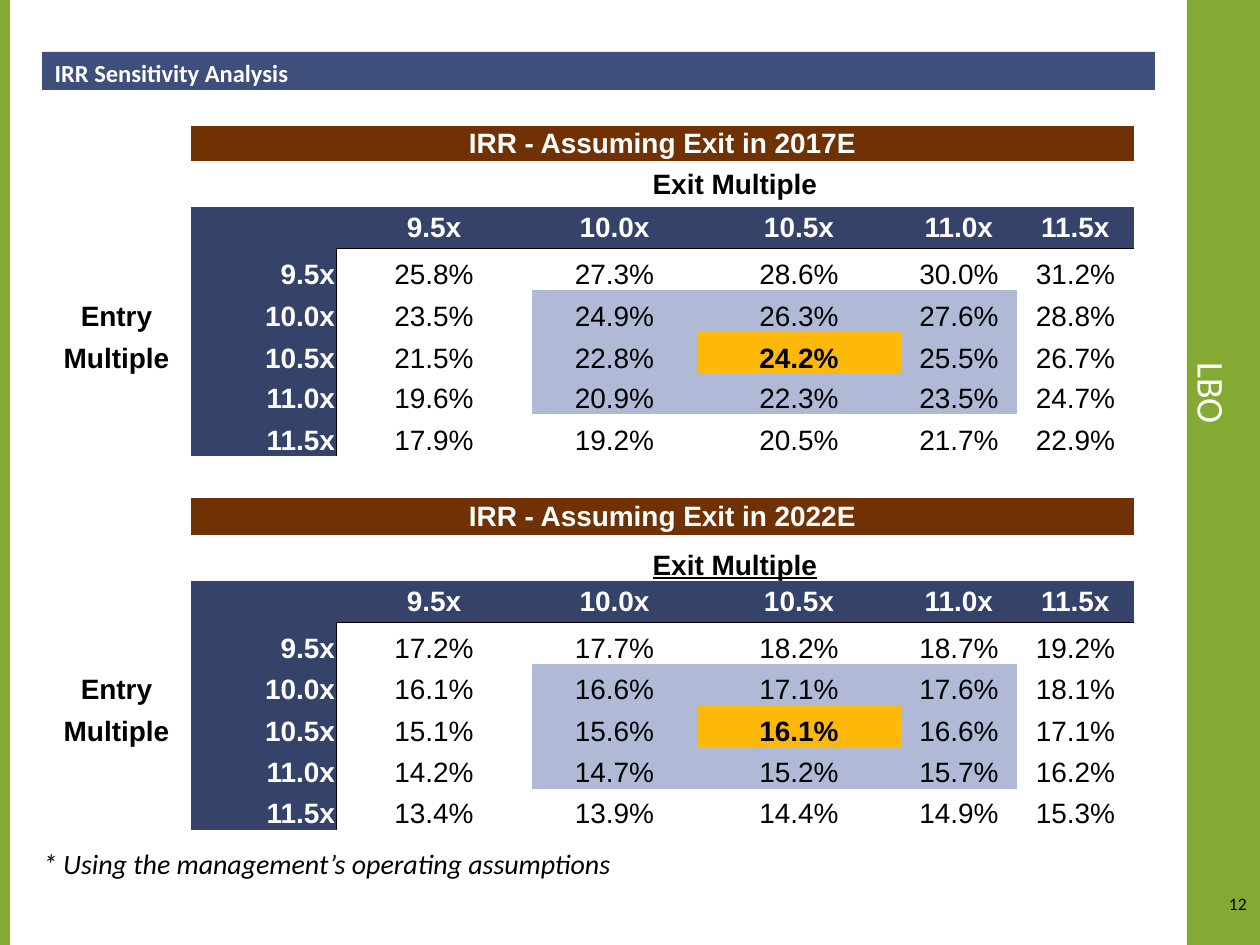
from lxml import etree
from pptx import Presentation
from pptx.dml.color import RGBColor
from pptx.enum.shapes import MSO_SHAPE
from pptx.enum.text import MSO_ANCHOR, MSO_AUTO_SIZE, PP_ALIGN
from pptx.oxml.ns import qn
from pptx.util import Pt

LEFT, CENTER, RIGHT = PP_ALIGN.LEFT, PP_ALIGN.CENTER, PP_ALIGN.RIGHT
TOP, MIDDLE, BOTTOM = MSO_ANCHOR.TOP, MSO_ANCHOR.MIDDLE, MSO_ANCHOR.BOTTOM
RECTANGLE = MSO_SHAPE.RECTANGLE

# Content
TITLE = "LBO"
HEADING = "IRR Sensitivity Analysis"
FOOTNOTE = "* Using the management’s operating assumptions"
PAGE = "12"
MULTIPLES = ["9.5x", "10.0x", "10.5x", "11.0x", "11.5x"]
ENTRY_LABELS = {1: "Entry", 2: "Multiple"}
SCENARIOS = [
    {"year": "2017E", "axis_anchor": MIDDLE, "underline": False, "irr": [
        ["25.8%", "27.3%", "28.6%", "30.0%", "31.2%"],
        ["23.5%", "24.9%", "26.3%", "27.6%", "28.8%"],
        ["21.5%", "22.8%", "24.2%", "25.5%", "26.7%"],
        ["19.6%", "20.9%", "22.3%", "23.5%", "24.7%"],
        ["17.9%", "19.2%", "20.5%", "21.7%", "22.9%"]]},
    {"year": "2022E", "axis_anchor": BOTTOM, "underline": True, "irr": [
        ["17.2%", "17.7%", "18.2%", "18.7%", "19.2%"],
        ["16.1%", "16.6%", "17.1%", "17.6%", "18.1%"],
        ["15.1%", "15.6%", "16.1%", "16.6%", "17.1%"],
        ["14.2%", "14.7%", "15.2%", "15.7%", "16.2%"],
        ["13.4%", "13.9%", "14.4%", "14.9%", "15.3%"]]},
]

THEME = {
    "green": "84AA33", "bar": "3F4F7C", "brown": "703204", "navy": "35436A",
    "pale": "B0BAD7", "gold": "FEB80A", "white": "FFFFFF", "black": "000000",
    "table_font": "Arial", "text_font": "Calibri",
    "title": 21.6, "heading": 14, "table": 16, "page": 10,
}

# Layout in px, 126 to the inch
EMU_PER_PX = 914400 // 126
SLIDE_W, SLIDE_H = 1260, 945
SIDEBAR = (1187, 0, 73, SLIDE_H)
LEFT_EDGE = (0, 0, 10, SLIDE_H)
COLUMNS = [149, 145, 196, 165, 204, 116, 117]
ROWS = [35, 46, 41, 42, 42, 42, 40, 42, 42, 37, 46, 41, 42, 42, 42, 41, 41, 52]
BLOCK_ROWS = 9
NO_STYLE = "{2D5ABB26-0587-4C30-8999-92F81FD0307C}"


def px(*lengths):
    return [length * EMU_PER_PX for length in lengths]


def rgb(name):
    return RGBColor.from_string(THEME[name])


def write(frame, text, size="table", font="table_font", color="black",
          align=LEFT, bold=False, italic=False, underline=False):
    paragraph = frame.paragraphs[0]
    paragraph.alignment = align
    run = paragraph.add_run()
    run.text = text
    run.font.size, run.font.name = Pt(THEME[size]), THEME[font]
    run.font.color.rgb = rgb(color)
    run.font.bold, run.font.italic = bold, italic
    run.font.underline = underline


def paint(shape, color):
    shape.fill.solid()
    shape.fill.fore_color.rgb = rgb(color)


def place(shape, left, top, width, height):
    shape.left, shape.top, shape.width, shape.height = px(left, top, width, height)


def set_cell(cell, text="", fill=None, anchor=BOTTOM, borders="", **style):
    properties = cell._tc.get_or_add_tcPr()
    for side in "LRTB":
        line = etree.SubElement(properties, qn(f"a:ln{side}"), w=str(Pt(0.5)))
        if side in borders:
            solid = etree.SubElement(line, qn("a:solidFill"))
            etree.SubElement(solid, qn("a:srgbClr"), val=THEME["black"])
        else:
            etree.SubElement(line, qn("a:noFill"))
    if fill:
        paint(cell, fill)
    else:
        cell.fill.background()
    cell.vertical_anchor = anchor
    cell.margin_left = cell.margin_right = cell.margin_top = px(1)[0]
    cell.margin_bottom = 0
    if text:
        write(cell.text_frame, text, **style)
    else:
        end = cell.text_frame.paragraphs[0]._p.get_or_add_endParaRPr()
        end.set("sz", str(THEME["table"] * 100))


def fill_scenario(table, first, scenario):
    header = {"align": CENTER, "bold": True, "anchor": MIDDLE}
    table.cell(first, 1).merge(table.cell(first, 6))
    set_cell(table.cell(first, 1), f"IRR - Assuming Exit in {scenario['year']}",
             fill="brown", color="white", **header)
    table.cell(first + 1, 2).merge(table.cell(first + 1, 6))
    set_cell(table.cell(first + 1, 2), "Exit Multiple",
             underline=scenario["underline"],
             **{**header, "anchor": scenario["axis_anchor"]})
    set_cell(table.cell(first + 2, 1), fill="navy")
    for i, (multiple, rates) in enumerate(zip(MULTIPLES, scenario["irr"])):
        row = first + 3 + i
        set_cell(table.cell(first + 2, i + 2), multiple, fill="navy",
                 color="white", borders="B", **header)
        set_cell(table.cell(row, 0), ENTRY_LABELS.get(i, ""), align=CENTER, bold=True)
        set_cell(table.cell(row, 1), multiple, fill="navy", color="white",
                 align=RIGHT, bold=True, borders="R")
        for j, rate in enumerate(rates):
            # Rings around the base case in the middle of the grid
            ring = max(abs(i - 2), abs(j - 2))
            set_cell(table.cell(row, j + 2), rate, fill=("gold", "pale", None)[ring],
                     align=CENTER, bold=ring == 0,
                     borders=("L" if j == 0 else "") + ("T" if i == 0 else ""))


def main():
    deck = Presentation()
    deck.slide_width, deck.slide_height = px(SLIDE_W, SLIDE_H)
    slide = deck.slides.add_slide(deck.slide_layouts[1])
    shapes = slide.shapes

    # Green edges, behind the placeholders
    for box in (SIDEBAR, LEFT_EDGE):
        edge = shapes.add_shape(RECTANGLE, *px(*box))
        edge.shadow.inherit = False
        paint(edge, "green")
        edge.line.fill.background()
        shapes._spTree.insert(2, edge._element)

    # Title, turned to read down the sidebar
    title = shapes.title
    place(title, 819, 421, 809, 73)
    title.rotation = 90
    frame = title.text_frame
    frame.auto_size, frame.vertical_anchor = MSO_AUTO_SIZE.NONE, BOTTOM
    frame.margin_left, frame.margin_right, frame.margin_bottom = px(0, 129, 3)
    write(frame, TITLE, size="title", font="text_font", color="white", align=CENTER)

    # Heading bar
    heading = slide.placeholders[1]
    place(heading, 42, 52, 1113, 38)
    paint(heading, "bar")
    frame = heading.text_frame
    frame.auto_size, frame.vertical_anchor = MSO_AUTO_SIZE.NONE, TOP
    paragraph = frame.paragraphs[0]
    bullet_off = paragraph._p.get_or_add_pPr()
    bullet_off.set("marL", "0")
    bullet_off.set("indent", "0")
    etree.SubElement(bullet_off, qn("a:buNone"))
    paragraph.space_before = Pt(0)
    write(frame, HEADING, size="heading", font="text_font", color="white", bold=True)

    # Sensitivity table
    graphic = shapes.add_table(len(ROWS), len(COLUMNS),
                               *px(42, 126, sum(COLUMNS), sum(ROWS)))
    table = graphic.table
    table.first_row = table.horz_banding = False
    table._tbl.tblPr.find(qn("a:tableStyleId")).text = NO_STYLE
    for column, width in zip(table.columns, px(*COLUMNS)):
        column.width = width
    for row, height in zip(table.rows, px(*ROWS)):
        row.height = height
    for n, scenario in enumerate(SCENARIOS):
        fill_scenario(table, n * BLOCK_ROWS, scenario)
    last = len(ROWS) - 1
    table.cell(last, 0).merge(table.cell(last, 6))
    set_cell(table.cell(last, 0), FOOTNOTE, font="text_font", italic=True)
    # Cells still at the default margin are the unused ones
    for cell in table.iter_cells():
        if cell.margin_bottom:
            set_cell(cell)

    # Page number
    page = shapes.add_textbox(*px(1202, 882, 57, 43)).text_frame
    page.word_wrap, page.vertical_anchor = True, MIDDLE
    write(page, PAGE, size="page", font="text_font", align=RIGHT)

    deck.save("out.pptx")


if __name__ == "__main__":
    main()
